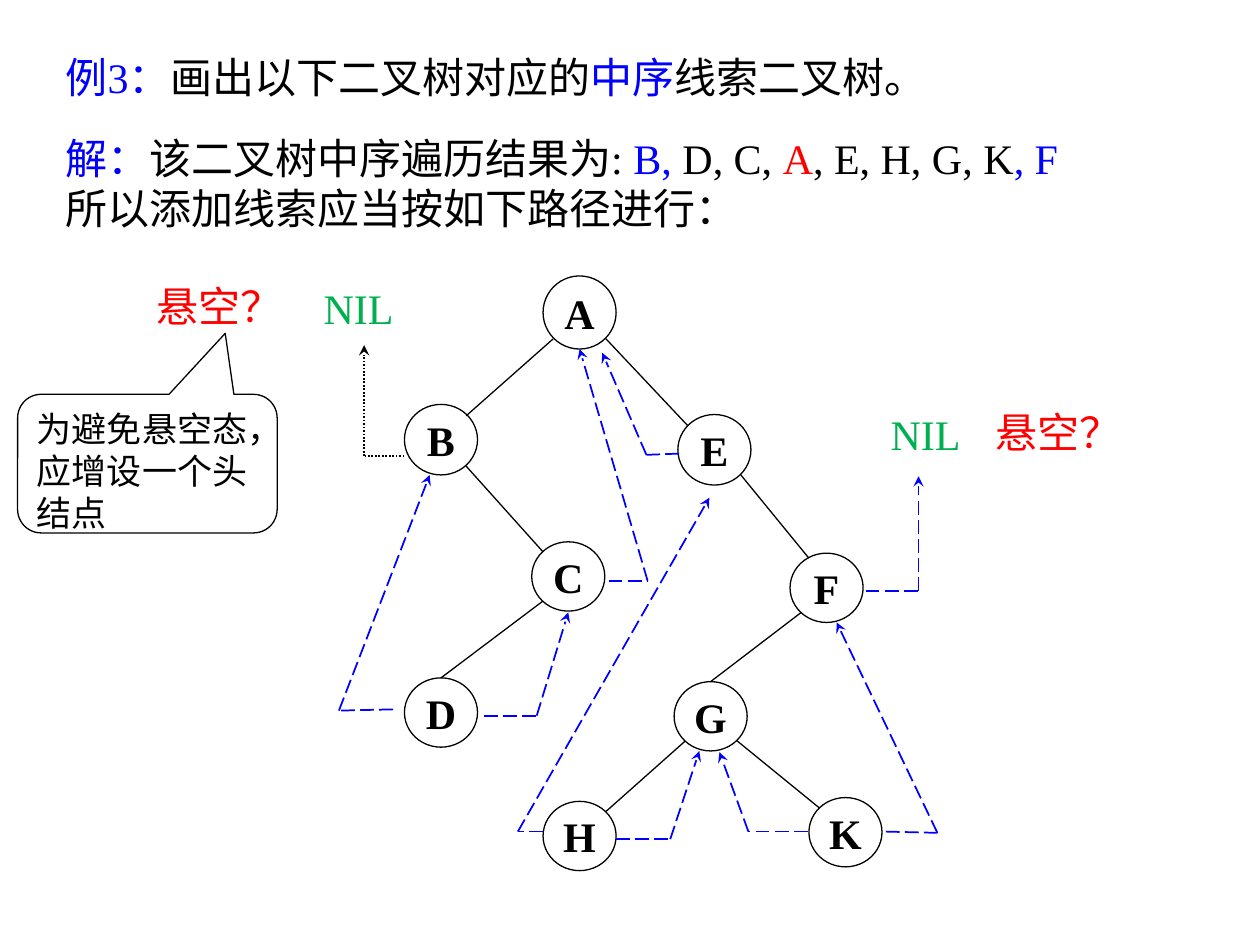
from dataclasses import dataclass

from lxml import etree
from pptx import Presentation
from pptx.dml.color import RGBColor
from pptx.enum.dml import MSO_LINE
from pptx.enum.shapes import MSO_CONNECTOR, MSO_SHAPE
from pptx.enum.text import MSO_ANCHOR, MSO_AUTO_SIZE, PP_ALIGN
from pptx.oxml.ns import qn
from pptx.util import Inches, Pt

STRAIGHT = MSO_CONNECTOR.STRAIGHT
OVAL = MSO_SHAPE.OVAL
CALLOUT = MSO_SHAPE.ROUNDED_RECTANGULAR_CALLOUT
LONG_DASH = MSO_LINE.LONG_DASH
DOTTED = MSO_LINE.ROUND_DOT
LEFT, CENTER = PP_ALIGN.LEFT, PP_ALIGN.CENTER
TOP, MIDDLE = MSO_ANCHOR.TOP, MSO_ANCHOR.MIDDLE
GROW = MSO_AUTO_SIZE.SHAPE_TO_FIT_TEXT
FIXED = MSO_AUTO_SIZE.NONE
COLUMNS, ROWS = 100, 75


@dataclass(frozen=True)
class Theme:
    """Hold the colours, font, type sizes and line widths."""
    ink: str = "000000"
    blue: str = "0000FF"
    red: str = "FF0000"
    green: str = "00B050"
    font: str = "Times New Roman"
    body: int = 24
    note: int = 20
    edge: float = 0.75
    thread: float = 1


THEME = Theme()


def write(shape, *paragraphs, size=THEME.body, bold=False, align=LEFT,
          anchor=TOP, wrap=True, fit=FIXED):
    """Fill a shape with paragraphs made of (text, colour) spans."""
    frame = shape.text_frame
    frame.word_wrap = wrap
    frame.auto_size = fit
    frame.vertical_anchor = anchor
    for index, spans in enumerate(paragraphs):
        para = frame.add_paragraph() if index else frame.paragraphs[0]
        para.alignment = align
        for text, color in spans:
            span = para.add_run()
            span.text = text
            span.font.name = THEME.font
            span.font.size = Pt(size)
            span.font.bold = bold
            span.font.color.rgb = RGBColor.from_string(color)


class TreePage:
    """Draw the elements of a threaded tree on a grid of columns and rows."""

    def __init__(self, deck):
        """Add a title-only page and work out the grid cell."""
        self.page = deck.slides.add_slide(deck.slide_layouts[5])
        self.column = deck.slide_width / COLUMNS
        self.row = deck.slide_height / ROWS

    def place(self, *lengths):
        """Turn alternating columns and rows into slide lengths."""
        units = (self.column, self.row)
        return [round(length * units[i % 2]) for i, length in enumerate(lengths)]

    def title(self, area, spans):
        """Move and fill the title placeholder."""
        box = self.page.shapes.title
        box.left, box.top, box.width, box.height = self.place(*area)
        write(box, spans, anchor=MIDDLE, fit=GROW)

    def label(self, area, *paragraphs):
        """Add a text box that grows with its text."""
        box = self.page.shapes.add_textbox(*self.place(*area))
        write(box, *paragraphs, fit=GROW)

    def outline(self, kind, area):
        """Add an unfilled preset shape with a thin line."""
        shape = self.page.shapes.add_shape(kind, *self.place(*area))
        shape.shadow.inherit = False
        shape.fill.background()
        shape.line.color.rgb = RGBColor.from_string(THEME.ink)
        shape.line.width = Pt(THEME.edge)
        return shape

    def node(self, name, left, top, height=5.5):
        """Add a lettered tree node."""
        shape = self.outline(OVAL, (left, top, 5.8, height))
        write(shape, [(name, THEME.ink)], bold=True, align=CENTER,
              anchor=MIDDLE, wrap=False)

    def callout(self, area, pointer, text):
        """Add a rounded callout whose tip is given by its adjustments."""
        shape = self.outline(CALLOUT, area)
        for index, value in enumerate(pointer):
            shape.adjustments[index] = value
        write(shape, [(text, THEME.ink)], size=THEME.note)

    def line(self, start, end, color=THEME.ink, width=THEME.edge,
             dash=None, arrow=False, parent=None):
        """Add a straight connector, with an arrowhead at its end if asked."""
        shapes = (parent or self.page).shapes
        link = shapes.add_connector(STRAIGHT, *self.place(*start, *end))
        link.line.color.rgb = RGBColor.from_string(color)
        link.line.width = Pt(width)
        if dash:
            link.line.dash_style = dash
        if arrow:
            pen = link.line._get_or_add_ln()
            etree.SubElement(pen, qn("a:tailEnd"), type="stealth")
        etree.SubElement(link._element.spPr, qn("a:effectLst"))

    def thread(self, start, bend, end, color=THEME.blue, dash=LONG_DASH):
        """Add a grouped pair of dashed lines that ends in an arrow."""
        pair = self.page.shapes.add_group_shape()
        style = dict(color=color, width=THEME.thread, dash=dash, parent=pair)
        self.line(start, bend, **style)
        self.line(bend, end, arrow=True, **style)


NODES = [
    ("A", 43.1, 21.9, 5.8), ("E", 53.8, 32.9, 5.6), ("B", 32.1, 32.1, 5.6),
    ("C", 42.2, 43), ("D", 32.1, 53.8), ("F", 62.7, 43.9),
    ("G", 53.5, 54.1), ("H", 43.1, 63.6), ("K", 64.2, 63.3),
]
EDGES = [
    ((43.9, 26.9), (37, 33)), ((48.1, 26.9), (54.6, 33.8)),
    ((37, 37), (43.1, 43.8)), ((35, 53.8), (43.1, 47.7)),
    ((58.8, 37.7), (64.2, 44.3)), ((56.4, 54.1), (63.6, 48.6)),
    ((48.1, 64.4), (54.4, 58.8)), ((58.5, 58.8), (65, 64.1)),
]
THREADS = [
    ((70.3, 66), (74.4, 66.1), (66.4, 49.4)),
    ((31.2, 56.3), (26.9, 56.4), (34.1, 37.7)),
    ((64.1, 66), (59.4, 66), (57.1, 59.7)),
    ((38.4, 56.8), (42.6, 56.8), (45.1, 48.6)),
    ((43.1, 66), (41.1, 66), (56.3, 39.5)),
    ((68.7, 46.9), (72.9, 46.9), (72.9, 37.8)),
    ((48.3, 46.1), (51.4, 46.1), (46, 27.7)),
    ((53.9, 36), (51.3, 36.1), (47.8, 28)),
    ((48.9, 66.6), (53.2, 66.6), (55.5, 59.6)),
]


def main():
    """Build the slide and save it."""
    deck = Presentation()
    deck.slide_width, deck.slide_height = Inches(10), Inches(7.5)
    tree = TreePage(deck)
    ink, blue, red, green = THEME.ink, THEME.blue, THEME.red, THEME.green

    for node in NODES:
        tree.node(*node)
    for start, end in EDGES:
        tree.line(start, end)
    tree.title((4.2, 3.5, 85, 5.1), [
        ("例3：", blue), ("画出以下二叉树对应的", ink),
        ("中序", blue), ("线索二叉树。", ink)])
    tree.label((4.2, 10, 88.3, 9), [
        ("解：", blue), ("该二叉树中序遍历结果为: ", ink), ("B, ", blue),
        ("D, C, ", ink), ("A", red), (", E, H, G, K", ink), (", F", blue),
    ], [("所以添加线索应当按如下路径进行：", ink)])
    for points in THREADS:
        tree.thread(*points)
    tree.thread((32.1, 36.2), (28.9, 36.2), (28.9, 27.4), color=ink, dash=DOTTED)
    for left, top in ((24.7, 21.9), (69.7, 31.9)):
        tree.label((left, top, 8.3, 5), [("NIL", green)])
    for left, top, width in ((11.4, 21.8, 11.5), (78, 31.8, 12)):
        tree.label((left, top, width, 5), [("悬空？", red)])
    tree.callout((1.4, 31.3, 20.6, 11), (0.3, -0.94, 0.17),
                 "为避免悬空态，应增设一个头结点")
    deck.save("out.pptx")


if __name__ == "__main__":
    main()
